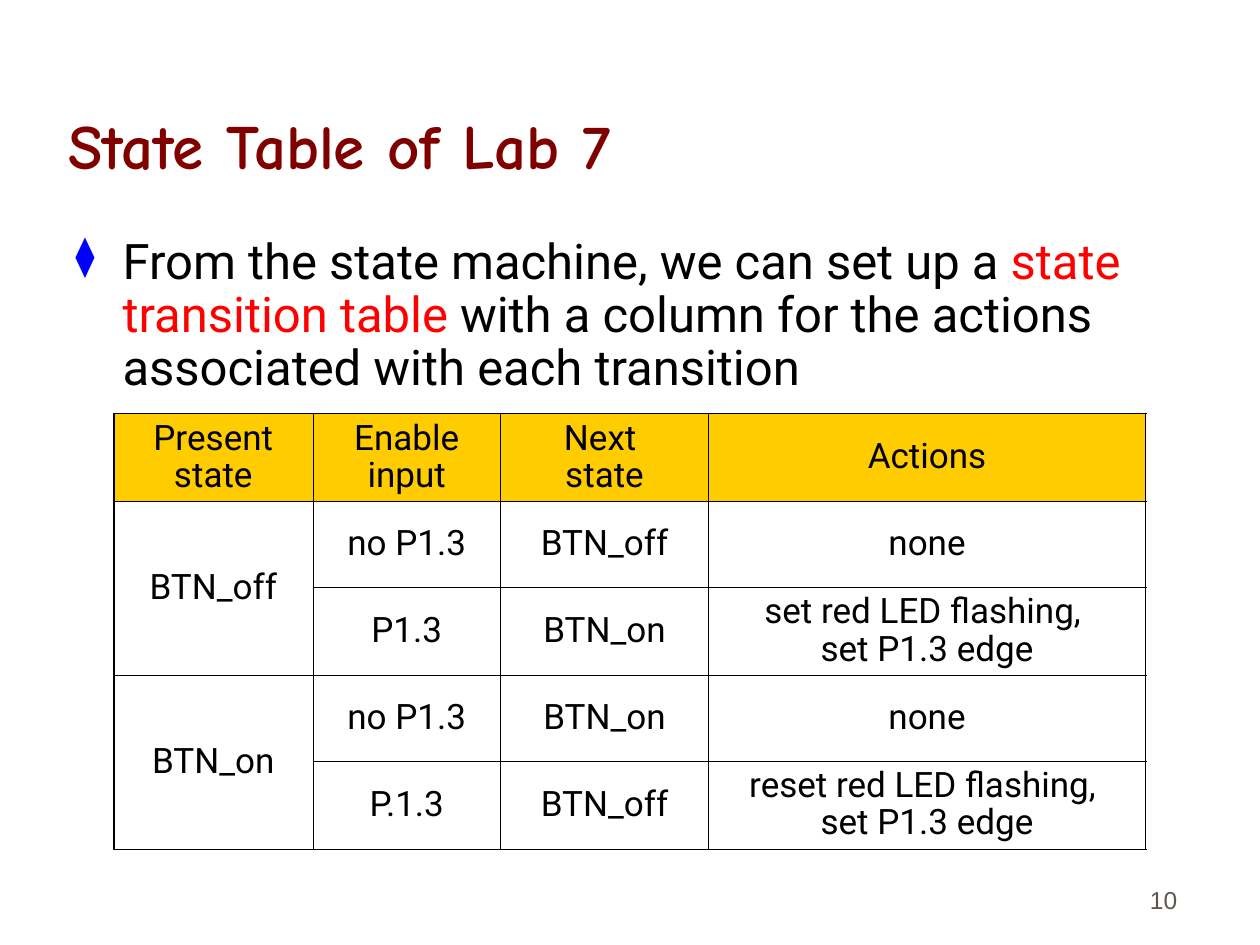
from dataclasses import dataclass

from lxml import etree
from pptx import Presentation
from pptx.dml.color import RGBColor
from pptx.enum.text import MSO_ANCHOR, MSO_AUTO_SIZE, PP_ALIGN
from pptx.oxml.ns import qn
from pptx.util import Pt

LEFT, CENTER, RIGHT = PP_ALIGN.LEFT, PP_ALIGN.CENTER, PP_ALIGN.RIGHT
TOP, MIDDLE, BOTTOM = MSO_ANCHOR.TOP, MSO_ANCHOR.MIDDLE, MSO_ANCHOR.BOTTOM
TITLE_ONLY = 5


@dataclass(frozen=True)
class Theme:
    heading_font: str = "Comic Neue"
    text_font: str = "Roboto"
    number_font: str = "Arial"
    heading: str = "800000"
    ink: str = "000000"
    accent: str = "FF0000"
    bullet: str = "0000FF"
    header_fill: str = "FFCC00"
    number: str = "5E574E"
    heading_size: float = 36
    statement_size: float = 28
    cell_size: float = 20
    number_size: float = 14
    outer_line: float = 1.08
    inner_line: float = 0.45


THEME = Theme()

COLUMN_WIDTHS = (113.8, 107.3, 118.8, 249.8)
ROW_HEIGHTS = (50.4, 49, 50.4, 49, 50.4)
# An empty present state belongs to the merged cell above it
STATE_ROWS = (
    ("Present state", "Enable input", "Next \nstate", "Actions"),
    ("BTN_off", "no P1.3", "BTN_off", "none"),
    ("", "P1.3", "BTN_on", "set red LED flashing, \nset P1.3 edge"),
    ("BTN_on", "no P1.3", "BTN_on", "none"),
    ("", "P.1.3", "BTN_off", "reset red LED flashing, \nset P1.3 edge"),
)


def add_run(paragraph, text, font, size, color, bold=False):
    """Add one run, turning newlines into line breaks."""
    for number, line in enumerate(text.split("\n")):
        if number:
            paragraph.add_line_break()
        run = paragraph.add_run()
        run.text = line
        run.font.name = font
        run.font.size = Pt(size)
        run.font.bold = bold
        run.font.color.rgb = RGBColor.from_string(color)


def prepare_frame(frame, anchor, align, spacing=1.0):
    """Set up a wrapping text frame and return its first paragraph."""
    frame.word_wrap = True
    frame.auto_size = MSO_AUTO_SIZE.NONE
    frame.vertical_anchor = anchor
    paragraph = frame.paragraphs[0]
    paragraph.alignment = align
    paragraph.line_spacing = spacing
    return paragraph


def add_bullet(paragraph, char, color, percent, indent):
    props = paragraph._p.get_or_add_pPr()
    props.set("marL", str(Pt(indent)))
    props.set("indent", str(-Pt(indent)))
    bullet_color = etree.SubElement(props, qn("a:buClr"))
    etree.SubElement(bullet_color, qn("a:srgbClr"), val=color)
    etree.SubElement(props, qn("a:buSzPct"), val=str(percent * 1000))
    etree.SubElement(props, qn("a:buChar"), char=char)


def set_borders(cell, widths):
    """Draw the cell's left, right, top and bottom lines."""
    props = cell._tc.get_or_add_tcPr()
    for side, width in zip("LRTB", widths):
        line = etree.SubElement(props, qn(f"a:ln{side}"), w=str(Pt(width)))
        fill = etree.SubElement(line, qn("a:solidFill"))
        etree.SubElement(fill, qn("a:srgbClr"), val=THEME.ink)


def place_title(slide, left, top, width, height):
    title = slide.shapes.title
    title.left, title.top = Pt(left), Pt(top)
    title.width, title.height = Pt(width), Pt(height)
    paragraph = prepare_frame(title.text_frame, BOTTOM, LEFT, 0.85)
    add_run(paragraph, "State Table of Lab 7", THEME.heading_font,
            THEME.heading_size, THEME.heading, bold=True)


def add_statement(slide, left, top, width, height):
    box = slide.shapes.add_textbox(Pt(left), Pt(top), Pt(width), Pt(height))
    paragraph = prepare_frame(box.text_frame, TOP, LEFT, 0.9)
    add_bullet(paragraph, "⧫", THEME.bullet, 80, 27)
    for text, color in (
        ("From the state machine, we can set up a ", THEME.ink),
        ("state transition table", THEME.accent),
        (" with a column for the actions associated with each transition",
         THEME.ink),
    ):
        add_run(paragraph, text, THEME.text_font, THEME.statement_size, color)


def add_state_table(slide, left, top):
    last_row, last_column = len(ROW_HEIGHTS) - 1, len(COLUMN_WIDTHS) - 1
    table = slide.shapes.add_table(
        last_row + 1, last_column + 1, Pt(left), Pt(top),
        Pt(sum(COLUMN_WIDTHS)), Pt(sum(ROW_HEIGHTS))).table
    table.first_row = table.horz_banding = False
    for column, width in zip(table.columns, COLUMN_WIDTHS):
        column.width = Pt(width)
    for row, height in zip(table.rows, ROW_HEIGHTS):
        row.height = Pt(height)

    for r, texts in enumerate(STATE_ROWS):
        for c, text in enumerate(texts):
            cell = table.cell(r, c)
            # Heavy outline, thin inner rules
            on_edge = (c == 0, c == last_column, r == 0, r == last_row)
            set_borders(cell, [THEME.outer_line if edge else THEME.inner_line
                               for edge in on_edge])
            if r == 0:
                cell.fill.solid()
                cell.fill.fore_color.rgb = RGBColor.from_string(
                    THEME.header_fill)
            else:
                cell.fill.background()
            if not text:
                table.cell(r - 1, c).merge(cell)
                continue
            cell.vertical_anchor = MIDDLE
            paragraph = cell.text_frame.paragraphs[0]
            paragraph.alignment = CENTER
            paragraph.line_spacing = 0.9
            add_run(paragraph, text, THEME.text_font, THEME.cell_size,
                    THEME.ink)


def add_page_number(slide, left, top, width, height):
    box = slide.shapes.add_textbox(Pt(left), Pt(top), Pt(width), Pt(height))
    paragraph = prepare_frame(box.text_frame, BOTTOM, RIGHT)
    add_run(paragraph, "10", THEME.number_font, THEME.number_size,
            THEME.number)


def main():
    deck = Presentation()
    deck.slide_width, deck.slide_height = Pt(720), Pt(540)
    slide = deck.slides.add_slide(deck.slide_layouts[TITLE_ONLY])
    place_title(slide, 31.7, 18, 645.8, 90)
    add_statement(slide, 36, 131.8, 643.7, 354.2)
    add_state_table(slide, 65, 236.2)
    add_page_number(slide, 530, 490.3, 149.8, 36)
    deck.save("out.pptx")


if __name__ == "__main__":
    main()
